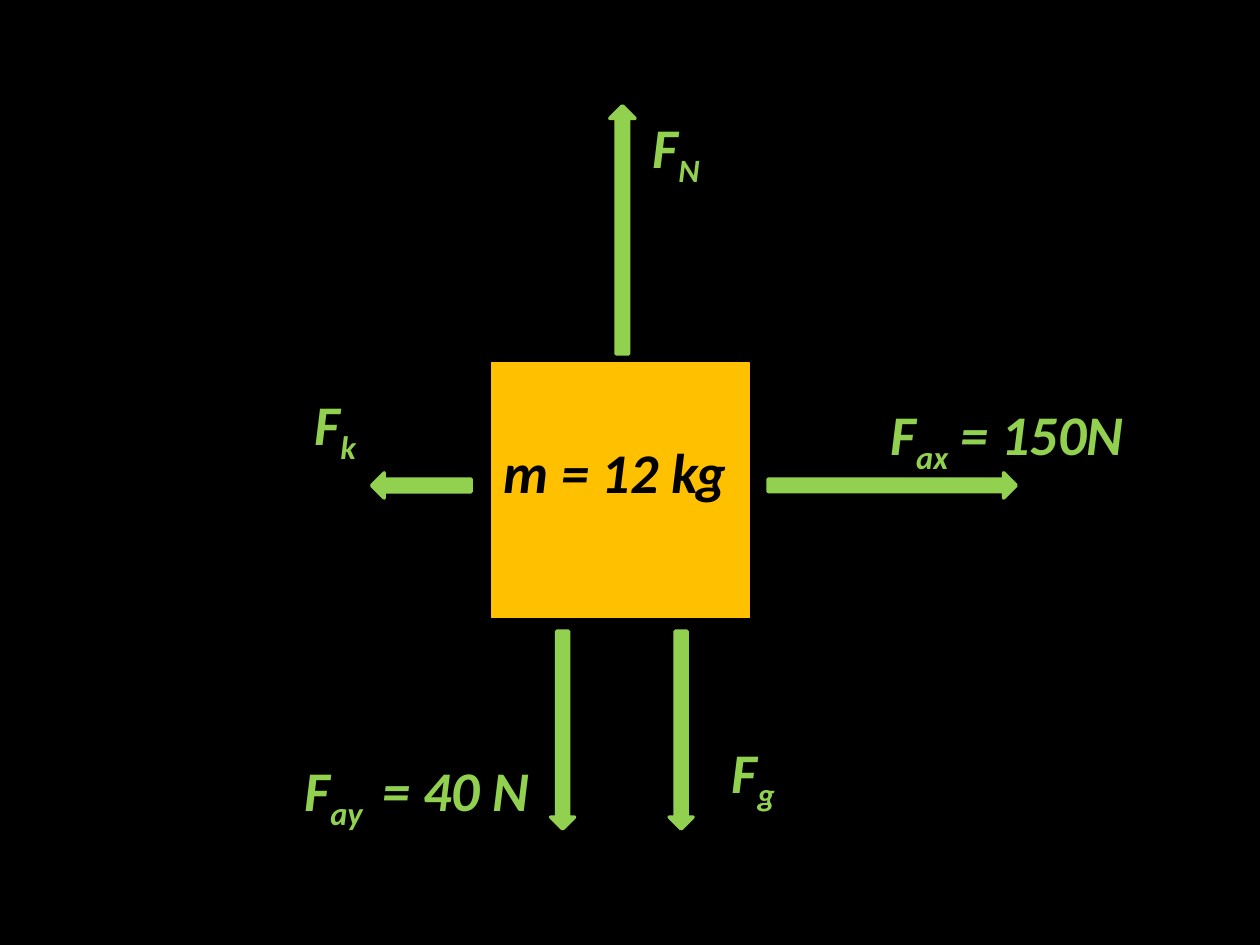
from pptx import Presentation
from pptx.dml.color import RGBColor
from pptx.enum import shapes, text
from pptx.util import Pt

COLORS = {"background": "000000", "mass": "FFC000", "force": "92D050", "mass_text": "000000"}


def add_run(paragraph, wording, color, baseline=None):
    run = paragraph.add_run()
    run.text = wording
    run.font.name = "Calibri"
    run.font.size = Pt(32)
    run.font.bold = True
    run.font.italic = True
    run.font.color.rgb = RGBColor.from_string(COLORS[color])
    if baseline:
        run.font._element.set("baseline", str(baseline))


def paint(shape, color, line_width):
    shape.shadow.inherit = False
    shape.fill.solid()
    shape.fill.fore_color.rgb = RGBColor.from_string(COLORS[color])
    shape.line.color.rgb = RGBColor.from_string(COLORS[color])
    shape.line.width = Pt(line_width)


prs = Presentation()
prs.slide_width, prs.slide_height = Pt(720), Pt(540)
slide = prs.slides.add_slide(prs.slide_layouts[6])
slide.background.fill.solid()
slide.background.fill.fore_color.rgb = RGBColor.from_string(COLORS["background"])

mass = slide.shapes.add_shape(
    shapes.MSO_SHAPE.RECTANGLE, Pt(280.8), Pt(207.4), Pt(147.6), Pt(145.4))
paint(mass, "mass", 0.75)
mass_frame = mass.text_frame
mass_frame.word_wrap = True
mass_frame.vertical_anchor = text.MSO_ANCHOR.TOP
mass_frame.margin_top = Pt(42.7)
mass_frame.paragraphs[0].alignment = text.PP_ALIGN.LEFT
add_run(mass_frame.paragraphs[0], "m = 12 kg", "mass_text")

# fmt: off
forces = [
    ("N", "", 0, (355.7, 131.4), (14.4, 141.8), (365.8, 60.5, 108)),
    ("g", "", 180, (389.2, 417.2), (13.7, 113), (411.1, 417.6, 96.5)),
    ("ay ", " = 40 N", 180, (321.5, 417.2), (13.7, 113), (167, 428.4, 153.4)),
    ("ax", " = 150N", 90, (509.8, 277.4), (14.4, 141.8), (501.8, 224.6, 190.1)),
    ("k", "", 270, (240.8, 277.4), (14.4, 56.9), (172.8, 218.9, 108)),
]
# fmt: on

for subscript, value, angle, center, size, label_place in forces:
    force = slide.shapes.add_group_shape()
    (center_x, center_y), (width, length) = center, size
    arrow = force.shapes.add_shape(
        shapes.MSO_SHAPE.UP_ARROW, Pt(center_x - width / 2), Pt(center_y - length / 2),
        Pt(width), Pt(length))
    arrow.rotation = angle
    paint(arrow, "force", 2)

    left, top, label_width = label_place
    label = force.shapes.add_textbox(Pt(left), Pt(top), Pt(label_width), Pt(46))
    label.text_frame.word_wrap = True
    symbol = label.text_frame.paragraphs[0]
    add_run(symbol, "F", "force")
    add_run(symbol, subscript, "force", -25000)
    if value:
        add_run(symbol, value, "force")

prs.save("out.pptx")
